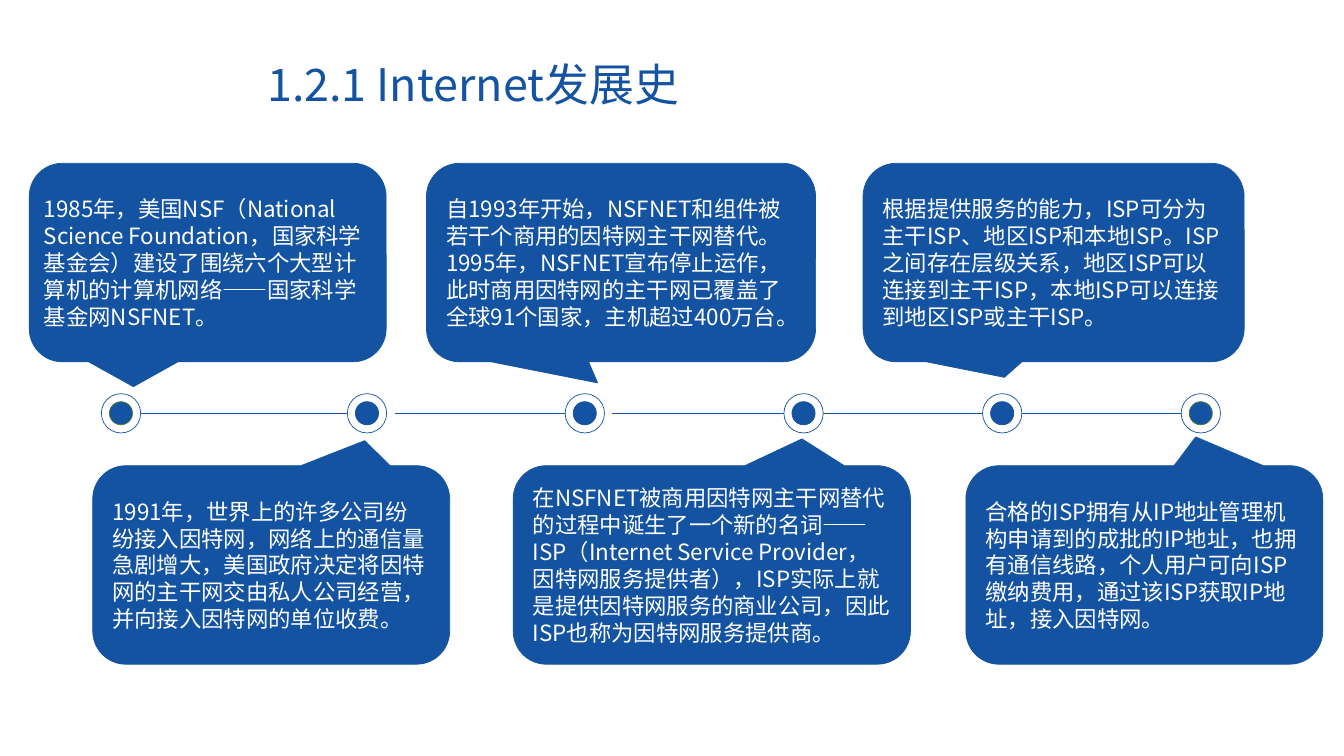
from dataclasses import dataclass

from lxml import etree
from pptx import Presentation
from pptx.dml.color import RGBColor
from pptx.enum.shapes import MSO_CONNECTOR, MSO_SHAPE
from pptx.enum.text import MSO_ANCHOR, PP_ALIGN
from pptx.oxml.ns import qn
from pptx.util import Inches, Pt

LEFT, MIDDLE, TOP = PP_ALIGN.LEFT, MSO_ANCHOR.MIDDLE, MSO_ANCHOR.TOP
OVAL, CALLOUT = MSO_SHAPE.OVAL, MSO_SHAPE.ROUNDED_RECTANGULAR_CALLOUT
STRAIGHT = MSO_CONNECTOR.STRAIGHT


@dataclass(frozen=True)
class Theme:
    font: str = "Noto Sans CJK SC"
    blue: RGBColor = RGBColor.from_string("1353A2")
    green: RGBColor = RGBColor.from_string("548235")
    white: RGBColor = RGBColor.from_string("FFFFFF")
    title: int = 32
    body: int = 16
    outline: float = 0.5
    axis: float = 1


THEME = Theme()
TITLE = ["1.2.1 ", "Internet", "发展史"]

# text, left, width, tip offset (shares of the callout), side inset
UPPER = [
    ("1985年，美国NSF（National Science Foundation，国家科学基金会）建设了围绕六个大型计算机的"
     "计算机网络——国家科学基金网NSFNET。", 0.29, 3.54, (-0.208, 0.625), 0.05),
    ("自1993年开始，NSFNET和组件被若干个商用的因特网主干网替代。1995年，NSFNET宣布停止运作，"
     "此时商用因特网的主干网已覆盖了全球91个国家，主机超过400万台。", 4.23, 3.86, (-0.06, 0.606), 0.1),
    ("根据提供服务的能力，ISP可分为主干ISP、地区ISP和本地ISP。ISP之间存在层级关系，"
     "地区ISP可以连接到主干ISP，本地ISP可以连接到地区ISP或主干ISP。", 8.56, 3.78, (-0.129, 0.578), 0.1),
]
LOWER = [
    ("1991年，世界上的许多公司纷纷接入因特网，网络上的通信量急剧增大，美国政府决定将因特网的"
     "主干网交由私人公司经营，并向接入因特网的单位收费。", 0.92, 3.54, (0.262, -0.626), 0.1),
    ("在NSFNET被商用因特网主干网替代的过程中诞生了一个新的名词——ISP（Internet Service Provider，"
     "因特网服务提供者），ISP实际上就是提供因特网服务的商业公司，因此ISP也称为因特网服务提供商。",
     5.09, 3.94, (0.227, -0.635), 0.1),
    ("合格的ISP拥有从IP地址管理机构申请到的成批的IP地址，也拥有通信线路，个人用户可向ISP缴纳费用，"
     "通过该ISP获取IP地址，接入因特网。", 9.58, 3.54, (0.144, -0.645), 0.1),
]
ROWS = [(1.62, UPPER), (4.62, LOWER)]
CALLOUT_H = 1.97

NODES = [1.2, 3.64, 5.8, 7.97, 9.94, 11.91]
GAPS = [0, 0.08, 0.08, 0, 0]
AXIS_Y, RING, DOT = 4.1, 0.39, 0.23


def write(p, text, size, color):
    r = p.add_run()
    r.text = text
    r.font.size = Pt(size)
    r.font.name = THEME.font
    r.font.color.rgb = color
    ea = etree.SubElement(r.font._element, qn("a:ea"))
    ea.set("typeface", THEME.font)


def add_shape(slide, kind, x, y, w, h, fill, line):
    sp = slide.shapes.add_shape(kind, Inches(x), Inches(y), Inches(w), Inches(h))
    sp.shadow.inherit = False
    sp.fill.solid()
    sp.fill.fore_color.rgb = fill
    sp.line.color.rgb = line
    sp.line.width = Pt(THEME.outline)
    return sp


def add_circle(slide, cx, size, fill, line):
    add_shape(slide, OVAL, cx - size / 2, AXIS_Y - size / 2, size, size, fill, line)


def add_segment(slide, start, end):
    line = slide.shapes.add_connector(
        STRAIGHT, Inches(start), Inches(AXIS_Y), Inches(end), Inches(AXIS_Y))
    line.line.color.rgb = THEME.blue
    line.line.width = Pt(THEME.axis)
    etree.SubElement(line._element.spPr, qn("a:effectLst"))


def add_callout(slide, y, text, x, w, tip, inset):
    sp = add_shape(slide, CALLOUT, x, y, w, CALLOUT_H, THEME.blue, THEME.blue)
    sp.adjustments[0], sp.adjustments[1] = tip
    tf = sp.text_frame
    tf.word_wrap = True
    tf.vertical_anchor = MIDDLE
    tf.margin_left = tf.margin_right = Inches(inset)
    p = tf.paragraphs[0]
    p.alignment = LEFT
    write(p, text, THEME.body, THEME.white)


def add_title(slide):
    sp = slide.shapes.title
    sp.left, sp.top, sp.width, sp.height = map(Inches, (2.55, 0.51, 5.27, 0.64))
    tf = sp.text_frame
    tf.word_wrap = True
    tf.vertical_anchor = TOP
    p = tf.paragraphs[0]
    p.alignment = LEFT
    for text in TITLE:
        write(p, text, THEME.title, THEME.blue)


def main():
    prs = Presentation()
    prs.slide_width, prs.slide_height = Inches(13.33), Inches(7.5)
    slide = prs.slides.add_slide(prs.slide_layouts[5])
    add_title(slide)
    for start, end, gap in zip(NODES, NODES[1:], GAPS):
        add_segment(slide, start + RING / 2 + gap, end - RING / 2)
    for cx in NODES:
        edge = THEME.green if cx in (NODES[0], NODES[-1]) else THEME.blue
        add_circle(slide, cx, RING, THEME.white, THEME.blue)
        add_circle(slide, cx, DOT, THEME.blue, edge)
    for y, callouts in ROWS:
        for callout in callouts:
            add_callout(slide, y, *callout)
    prs.save("out.pptx")


if __name__ == "__main__":
    main()
